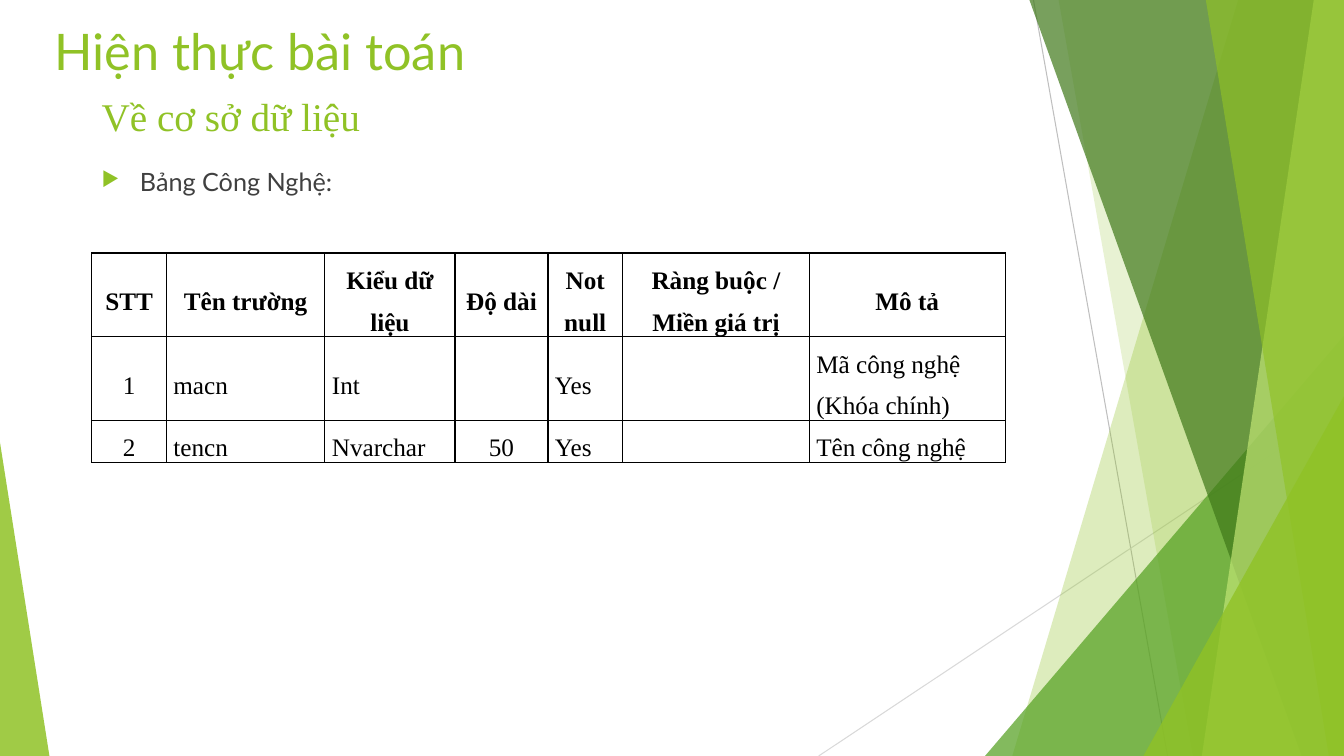
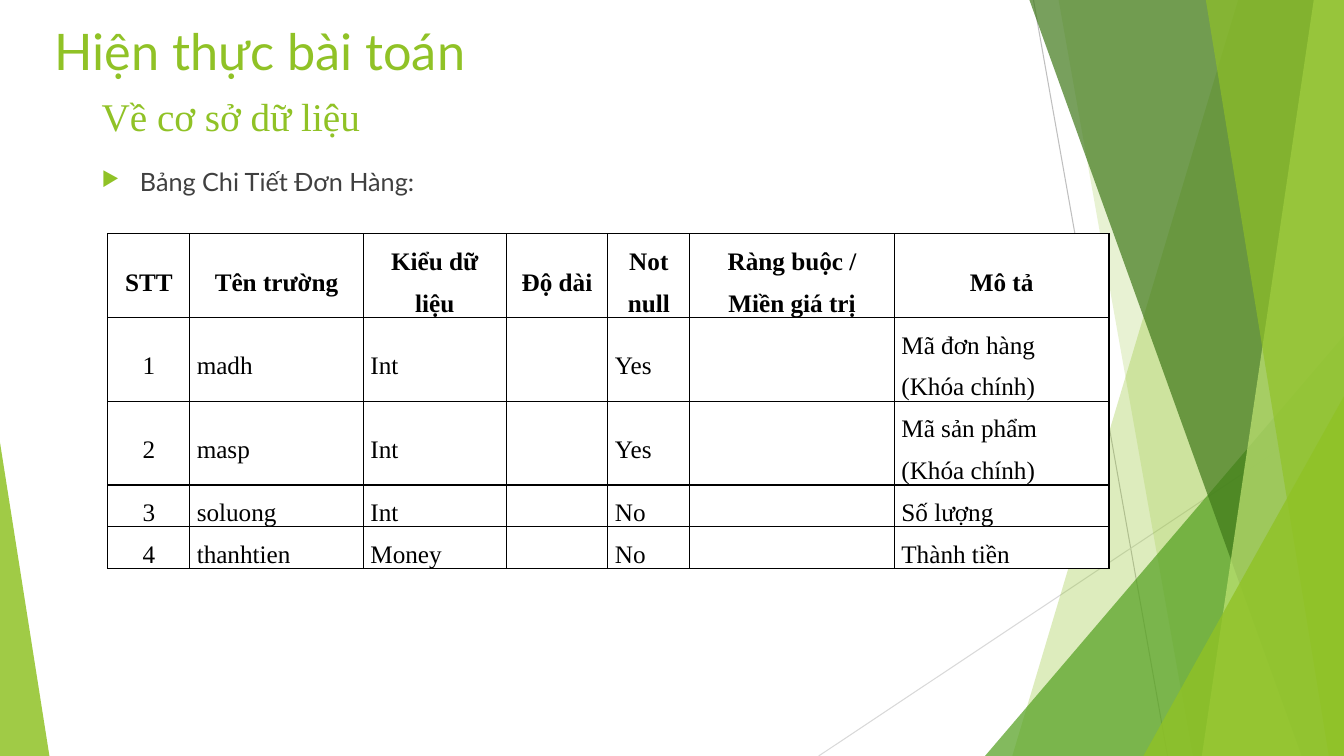
import lxml.etree
import pptx
import pptx.dml.color
import pptx.enum.shapes
import pptx.enum.text
import pptx.oxml.ns
import pptx.util

# Shared colours, fonts and sizes
LIME = pptx.dml.color.RGBColor(0x90, 0xC2, 0x26)
GREEN = pptx.dml.color.RGBColor(0x54, 0xA0, 0x21)
DARK_GREEN = pptx.dml.color.RGBColor(0x3F, 0x78, 0x19)
PALE_LIME = pptx.dml.color.RGBColor(0xC0, 0xE4, 0x74)
MID_GREY = pptx.dml.color.RGBColor(0xBF, 0xBF, 0xBF)
LIGHT_GREY = pptx.dml.color.RGBColor(0xD9, 0xD9, 0xD9)
TEXT_GREY = pptx.dml.color.RGBColor(0x40, 0x40, 0x40)
BLACK = pptx.dml.color.RGBColor(0, 0, 0)
WHITE = pptx.dml.color.RGBColor(0xFF, 0xFF, 0xFF)
SANS, SERIF = "Lato", "Times New Roman"
SLIDE_WIDTH, SLIDE_HEIGHT = 13.33, 7.5

# Shared text: position and format
TITLE = "Hiện thực bài toán"
TITLE_BOX = (0.44, 0.15, 9.4, 1.44)
TITLE_FORMAT = {"name": SANS, "size": pptx.util.Pt(36)}
SUBTITLE = "Về cơ sở dữ liệu"
SUBTITLE_BOX = (0.91, 0.87, 9.4, 1.44)
SUBTITLE_FORMAT = {"name": SERIF, "size": pptx.util.Pt(28)}
BODY_BOX = (0.91, 1.6, 9.4, 4.79)
BODY_FORMAT = {"name": SANS, "size": pptx.util.Pt(18)}
BULLET_INDENT = 0.38

# Backdrop: lines from point to point, then facets from back to front
BACKDROP_LINES = [
    ((10.25, 0), (11.58, SLIDE_HEIGHT), MID_GREY),
    ((SLIDE_WIDTH, 4.03), (8.12, SLIDE_HEIGHT), LIGHT_GREY),
]
# A band is (top x, bottom x) and reaches the right edge;
# a triangle is (left, top, width, apex) and reaches the bottom edge
BACKDROP_FACETS = [
    ("band", (12.28, 10.04), LIME, 30),
    ("band", (10.5, 11.83), LIME, 20),
    ("triangle", (9.77, 3.33, 3.56, 1), GREEN, 72),
    ("band", (10.21, 12.91), DARK_GREEN, 70),
    ("band", (13.03, 11.92), PALE_LIME, 70),
    ("band", (11.96, 13.18), LIME, 65),
    ("triangle", (11.34, 3.93, 1.99, 1), LIME, 80),
    ("triangle", (0, 4.39, 0.49, 0), LIME, 85),
]

# Tables
HEADER = ("STT", "Tên trường", "Kiểu dữ liệu", "Độ dài", "Not null",
          "Ràng buộc / Miền giá trị", "Mô tả")
COLUMN_SHARES = (0.74, 1.57, 1.29, 0.92, 0.74, 1.85, 1.94)
CENTRED_COLUMNS = (0, 3)
ROW_HEIGHT = 0.26
CELL_MARGINS = {"margin_left": pptx.util.Inches(0.07), "margin_right": pptx.util.Inches(0.07),
                "margin_top": 0, "margin_bottom": 0,
                "vertical_anchor": pptx.enum.text.MSO_ANCHOR.MIDDLE}
SLIDES = [
    {
        "body": "Bảng Công Nghệ:",
        "left": 0.91, "top": 2.51, "width": 9.06,
        "rows": [
            ("1", "macn", "Int", "", "Yes", "", "Mã công nghệ (Khóa chính)"),
            ("2", "tencn", "Nvarchar", "50", "Yes", "", "Tên công nghệ"),
        ],
    },
    {
        "body": "Bảng Chi Tiết Đơn Hàng:",
        "left": 1.07, "top": 2.32, "width": 9.93,
        "rows": [
            ("1", "madh", "Int", "", "Yes", "", "Mã đơn hàng (Khóa chính)"),
            ("2", "masp", "Int", "", "Yes", "", "Mã sản phẩm (Khóa chính)"),
            ("3", "soluong", "Int", "", "No", "", "Số lượng"),
            ("4", "thanhtien", "Money", "", "No", "", "Thành tiền"),
        ],
    },
]


def inches(values):
    return [pptx.util.Inches(value) for value in values]


def add_element(parent, tag, **attributes):
    return lxml.etree.SubElement(parent, pptx.oxml.ns.qn(tag), attributes)


def apply_format(target, values):
    for name, value in values.items():
        setattr(target, name, value)


def write_run(paragraph, text, font_format, colour):
    run = paragraph.add_run()
    run.text = text
    apply_format(run.font, font_format)
    run.font.color.rgb = colour


def add_facet(shapes, kind, geometry, colour, opacity):
    if kind == "band":
        top_x, bottom_x = geometry
        corners = [(top_x, 0), (SLIDE_WIDTH, 0), (SLIDE_WIDTH, SLIDE_HEIGHT), (bottom_x, SLIDE_HEIGHT)]
        points = [tuple(inches(corner)) for corner in corners]
        builder = shapes.build_freeform(*points[0])
        builder.add_line_segments(points[1:], close=True)
        shape = builder.convert_to_shape()
    else:
        left, top, width, apex = geometry
        shape = shapes.add_shape(pptx.enum.shapes.MSO_SHAPE.ISOSCELES_TRIANGLE,
                                 *inches((left, top, width, SLIDE_HEIGHT - top)))
        shape.adjustments[0] = apex
    shape.shadow.inherit = False
    shape.fill.solid()
    shape.fill.fore_color.rgb = colour
    colour_element = shape.element.spPr.find(".//" + pptx.oxml.ns.qn("a:srgbClr"))
    add_element(colour_element, "a:alpha", val=str(opacity * 1000))
    shape.line.fill.background()


def add_backdrop(slide, layout):
    """Draw the backdrop as one group and hand it to the layout all slides use."""
    group = slide.shapes.add_group_shape()
    for start, end, colour in BACKDROP_LINES:
        connector = group.shapes.add_connector(pptx.enum.shapes.MSO_CONNECTOR.STRAIGHT,
                                               *inches(start + end))
        connector.line.color.rgb = colour
        connector.line.width = pptx.util.Pt(0.75)
        add_element(connector.element.spPr, "a:effectLst")
    for facet in BACKDROP_FACETS:
        add_facet(group.shapes, *facet)
    tree = layout.shapes.element
    tree.insert(2, group.element)
    for number, properties in enumerate(tree.iter(pptx.oxml.ns.qn("p:cNvPr")), start=1):
        properties.set("id", str(number))


def fill_text(shape, text, font_format, colour, bulleted=False):
    frame = shape.text_frame
    apply_format(frame, {"word_wrap": True,
                         "auto_size": pptx.enum.text.MSO_AUTO_SIZE.NONE,
                         "vertical_anchor": pptx.enum.text.MSO_ANCHOR.TOP})
    paragraph = frame.paragraphs[0]
    paragraph.alignment = pptx.enum.text.PP_ALIGN.LEFT
    if bulleted:
        properties = paragraph._p.get_or_add_pPr()
        indent = pptx.util.Inches(BULLET_INDENT)
        properties.set("marL", str(indent))
        properties.set("indent", str(-indent))
        bullet_colour = add_element(properties, "a:buClr")
        add_element(bullet_colour, "a:srgbClr", val=str(LIME))
        add_element(properties, "a:buSzPct", val="80000")
        add_element(properties, "a:buChar", char="▶")
    write_run(paragraph, text, font_format, colour)


def format_cell(cell, text, bold, centred):
    apply_format(cell, CELL_MARGINS)
    # Borders come before the fill in the cell properties
    properties = cell._tc.get_or_add_tcPr()
    for side in ("a:lnL", "a:lnR", "a:lnT", "a:lnB"):
        border = add_element(properties, side, w=str(pptx.util.Pt(1)))
        add_element(add_element(border, "a:solidFill"), "a:srgbClr", val=str(BLACK))
    cell.fill.solid()
    cell.fill.fore_color.rgb = WHITE
    if text:
        paragraph = cell.text_frame.paragraphs[0]
        paragraph.line_spacing = 1.5
        if centred:
            paragraph.alignment = pptx.enum.text.PP_ALIGN.CENTER
        write_run(paragraph, text, {"name": SERIF, "size": pptx.util.Pt(18), "bold": bold}, BLACK)


def add_field_table(slide, content):
    rows = [HEADER] + content["rows"]
    box = (content["left"], content["top"], content["width"], ROW_HEIGHT * len(rows))
    table = slide.shapes.add_table(len(rows), len(HEADER), *inches(box)).table
    apply_format(table, {"first_row": False, "horz_banding": False})
    scale = content["width"] / sum(COLUMN_SHARES)
    for column, share in zip(table.columns, COLUMN_SHARES):
        column.width = pptx.util.Inches(share * scale)
    for row_index, row in enumerate(rows):
        is_header = row_index == 0
        for column_index, text in enumerate(row):
            format_cell(table.cell(row_index, column_index), text, is_header,
                        is_header or column_index in CENTRED_COLUMNS)


def main():
    presentation = pptx.Presentation()
    presentation.slide_width = pptx.util.Inches(SLIDE_WIDTH)
    presentation.slide_height = pptx.util.Inches(SLIDE_HEIGHT)
    layout = presentation.slide_layouts[5]
    for index, content in enumerate(SLIDES):
        slide = presentation.slides.add_slide(layout)
        if index == 0:
            add_backdrop(slide, layout)
        # Title, bulleted text and subtitle
        title = slide.shapes.title
        apply_format(title, dict(zip(("left", "top", "width", "height"), inches(TITLE_BOX))))
        fill_text(title, TITLE, TITLE_FORMAT, LIME)
        body = slide.shapes.add_textbox(*inches(BODY_BOX))
        fill_text(body, content["body"], BODY_FORMAT, TEXT_GREY, bulleted=True)
        subtitle = slide.shapes.add_textbox(*inches(SUBTITLE_BOX))
        fill_text(subtitle, SUBTITLE, SUBTITLE_FORMAT, LIME)
        add_field_table(slide, content)
    presentation.save("out.pptx")


if __name__ == "__main__":
    main()
